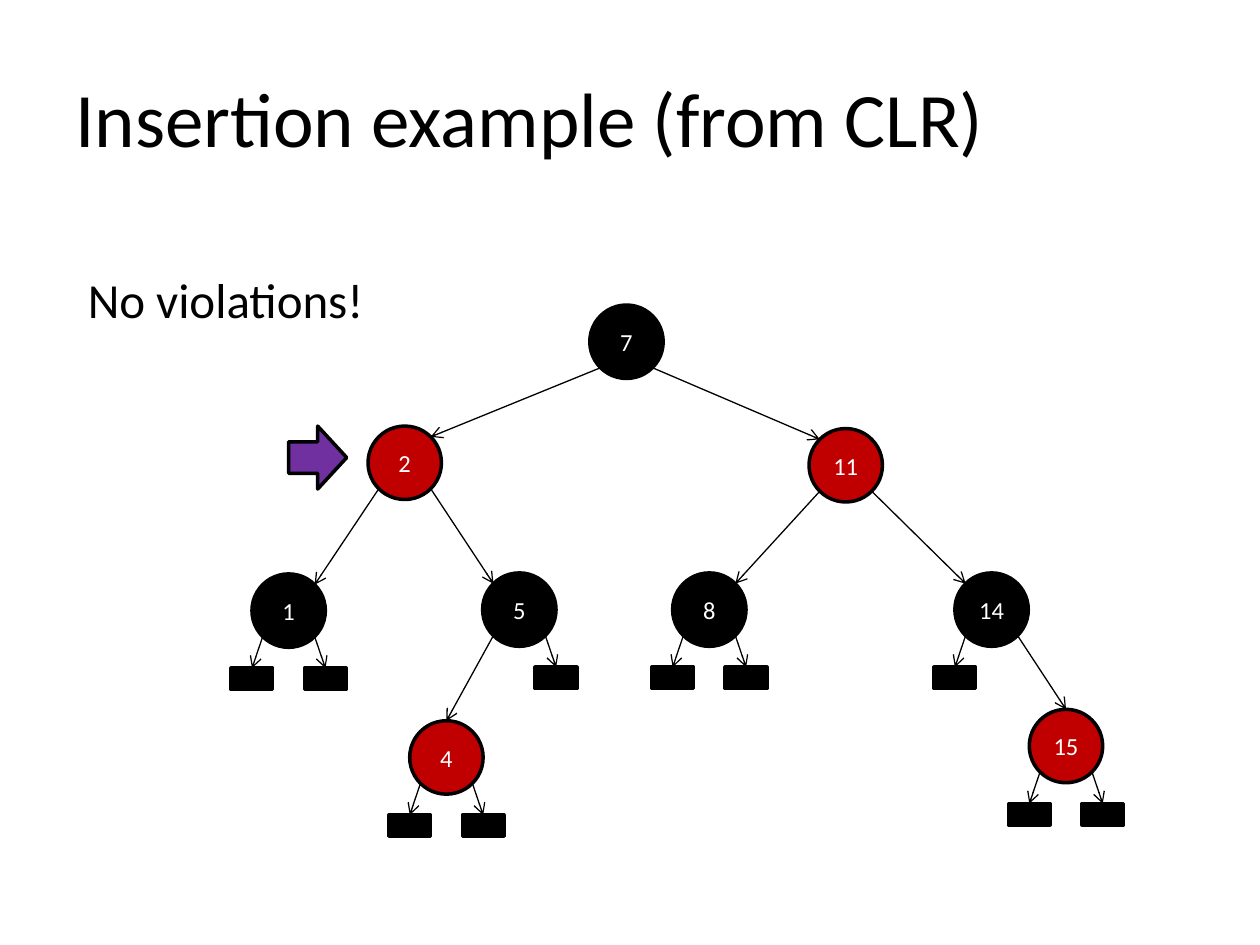
from math import sqrt

from lxml import etree
from pptx import Presentation
from pptx.dml.color import RGBColor
from pptx.enum.shapes import MSO_CONNECTOR, MSO_SHAPE
from pptx.enum.text import MSO_ANCHOR, PP_ALIGN
from pptx.oxml.ns import qn
from pptx.util import Cm, Pt

BLACK = RGBColor(0x00, 0x00, 0x00)
RED = RGBColor(0xC0, 0x00, 0x00)
PURPLE = RGBColor(0x70, 0x30, 0xA0)
WHITE = RGBColor(0xFF, 0xFF, 0xFF)

DIAMETER = 1.48
RADIUS = DIAMETER / 2
DIAGONAL = RADIUS / sqrt(2)
LEAF_WIDTH, LEAF_HEIGHT = 0.84, 0.43
LEAF_DROP = 1.9

presentation = Presentation()
presentation.slide_width = Cm(25.4)
presentation.slide_height = Cm(19.05)
slide = presentation.slides.add_slide(presentation.slide_layouts[6])
shapes = slide.shapes


def add_outlined(kind, left, top, width, height, fill):
    shape = shapes.add_shape(kind, Cm(left), Cm(top), Cm(width), Cm(height))
    shape.shadow.inherit = False
    shape.fill.solid()
    shape.fill.fore_color.rgb = fill
    shape.line.color.rgb = BLACK
    shape.line.width = Pt(2)
    return shape


def add_text(frame, text, size, color):
    run = frame.paragraphs[0].add_run()
    run.text = text
    run.font.name = "Calibri"
    run.font.size = Pt(size)
    run.font.color.rgb = color


title = shapes.add_textbox(Cm(1.27), Cm(0.76), Cm(22.86), Cm(3.18)).text_frame
title.word_wrap = True
title.vertical_anchor = MSO_ANCHOR.MIDDLE
add_text(title, "Insertion example (from CLR)", 44, BLACK)

remark = shapes.add_textbox(Cm(1.52), Cm(5.31), Cm(6.15), Cm(1.45)).text_frame
remark.word_wrap = False
add_text(remark, "No violations!", 28, BLACK)

nodes = {
    7: (11.89, 6.15, BLACK),
    2: (7.42, 8.59, RED),
    11: (16.31, 8.64, RED),
    1: (5.08, 11.57, BLACK),
    5: (9.73, 11.55, BLACK),
    8: (13.56, 11.55, BLACK),
    14: (19.25, 11.55, BLACK),
    4: (8.26, 14.53, RED),
    15: (20.75, 14.3, RED),
}
children = {7: (2, 11), 2: (1, 5), 11: (8, 14), 5: (4, None), 14: (None, 15)}
bottom_row = (4, 15)

for key, (left, top, color) in nodes.items():
    node = add_outlined(MSO_SHAPE.OVAL, left, top, DIAMETER, DIAMETER, color)
    label = node.text_frame
    label.margin_left = label.margin_right = 0
    label.margin_top = label.margin_bottom = 0
    label.vertical_anchor = MSO_ANCHOR.MIDDLE
    label.paragraphs[0].alignment = PP_ALIGN.CENTER
    add_text(label, str(key), 14, WHITE)

    for side, child in zip((-1, 1), children.get(key, (None, None))):
        start_x = left + RADIUS + side * DIAGONAL
        start_y = top + RADIUS + DIAGONAL
        if child is None:
            end_x = left + RADIUS + side * RADIUS
            end_y = top + LEAF_DROP
            add_outlined(MSO_SHAPE.RECTANGLE, end_x - LEAF_WIDTH / 2, end_y,
                         LEAF_WIDTH, LEAF_HEIGHT, BLACK)
        else:
            child_left, child_top, _ = nodes[child]
            end_x, end_y = child_left + RADIUS, child_top
            if child not in bottom_row:
                end_x -= side * DIAGONAL
                end_y += RADIUS - DIAGONAL
        edge = shapes.add_connector(MSO_CONNECTOR.STRAIGHT, Cm(start_x),
                                    Cm(start_y), Cm(end_x), Cm(end_y))
        edge.line.color.rgb = BLACK
        edge.line.width = Pt(0.75)
        etree.SubElement(edge.line._get_or_add_ln(), qn("a:tailEnd"), type="arrow")
        etree.SubElement(edge._element.spPr, qn("a:effectLst"))

add_outlined(MSO_SHAPE.RIGHT_ARROW, 5.82, 8.59, 1.17, 1.27, PURPLE)

presentation.save("out.pptx")
